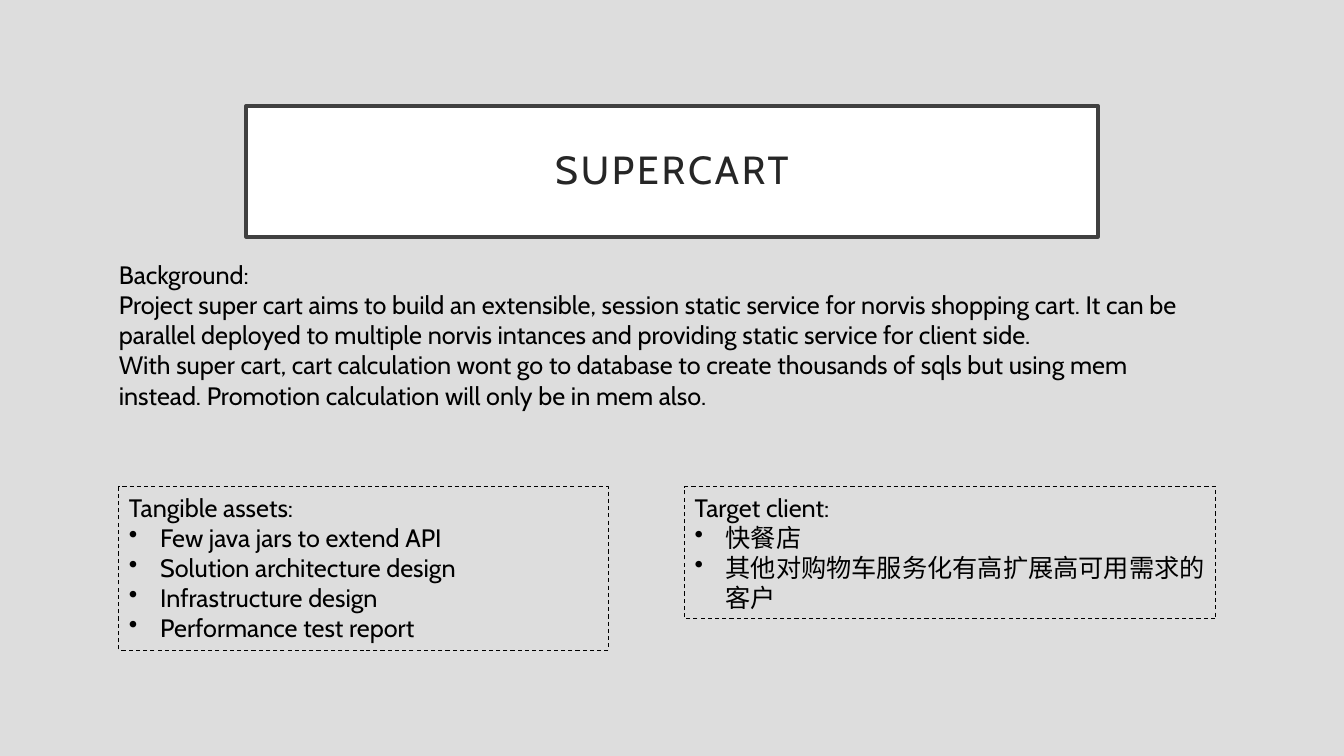
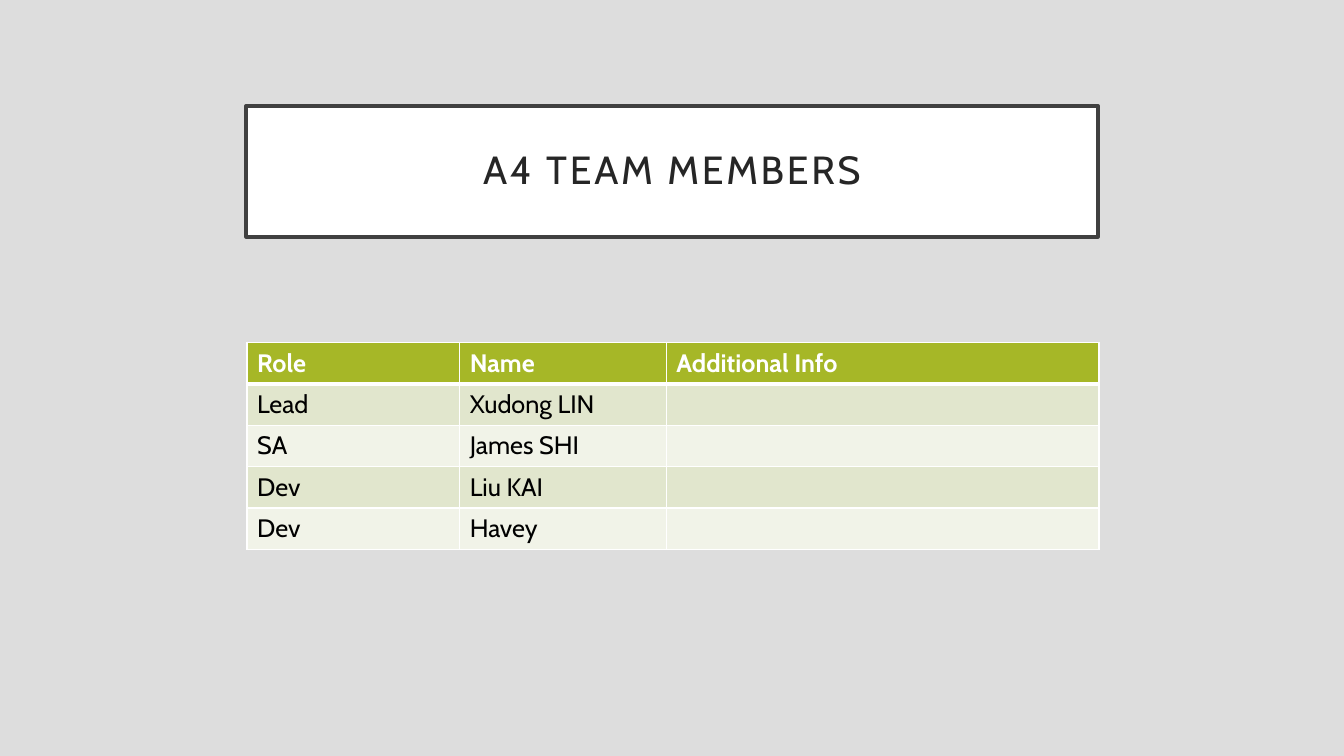
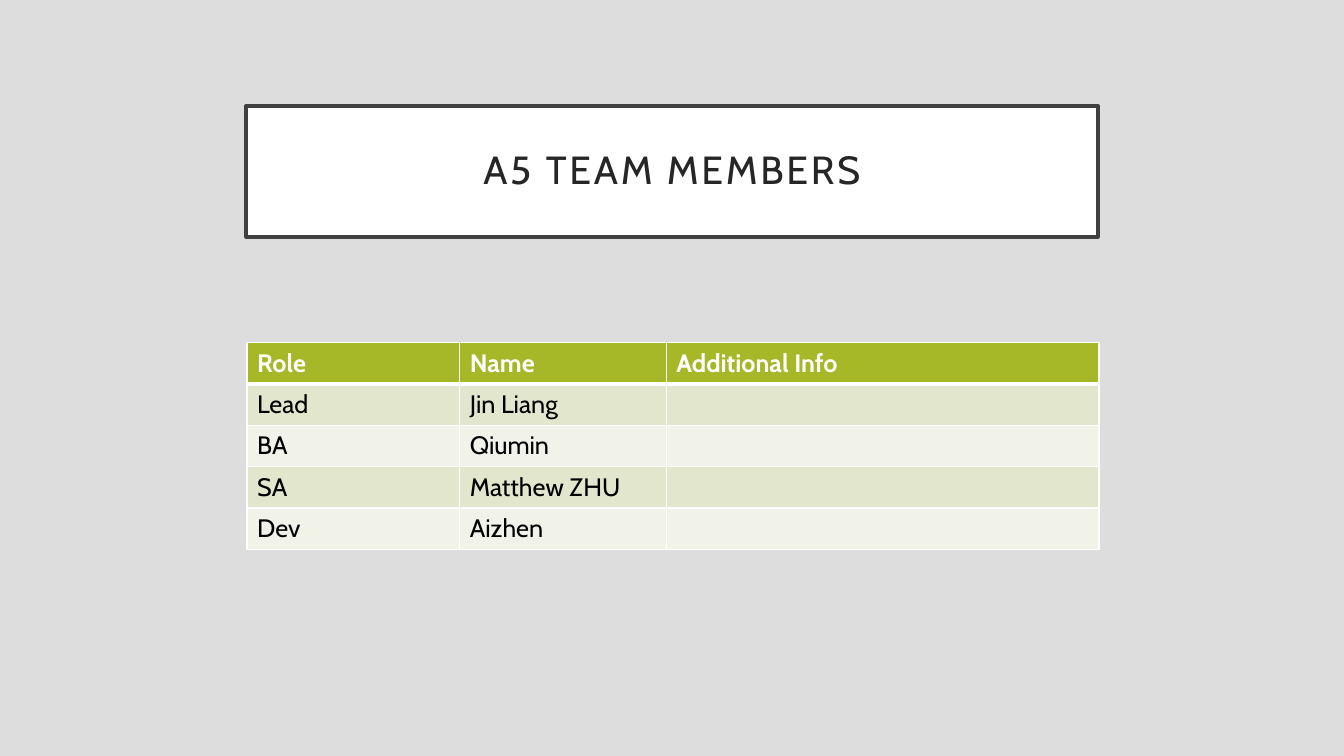
from dataclasses import dataclass

from lxml import etree
from pptx import Presentation
from pptx.dml.color import RGBColor
from pptx.enum.dml import MSO_LINE
from pptx.enum.shapes import MSO_SHAPE
from pptx.enum.text import MSO_ANCHOR, MSO_AUTO_SIZE, PP_ALIGN
from pptx.oxml.ns import qn
from pptx.util import Inches, Pt

RECT = MSO_SHAPE.RECTANGLE
DASH = MSO_LINE.DASH
TOP, MIDDLE = MSO_ANCHOR.TOP, MSO_ANCHOR.MIDDLE
LEFT, CENTER = PP_ALIGN.LEFT, PP_ALIGN.CENTER
FIT, FIXED = MSO_AUTO_SIZE.SHAPE_TO_FIT_TEXT, MSO_AUTO_SIZE.NONE
TITLE_ONLY = 5


@dataclass(frozen=True)
class Theme:
    font: str = "Cabin"
    back: str = "DDDDDD"
    white: str = "FFFFFF"
    black: str = "000000"
    frame: str = "404040"
    ink: str = "262626"
    head: str = "A6B727"
    bands: tuple = ("E1E6CD", "F1F3E8")
    title: int = 28
    body: int = 18


def rgb(code):
    return RGBColor.from_string(code)


def paint(fill, code):
    fill.solid()
    fill.fore_color.rgb = rgb(code)


class Deck:
    def __init__(self, theme):
        self.theme = theme
        self.prs = Presentation()
        self.prs.slide_width = Inches(13.33)
        self.prs.slide_height = Inches(7.5)
        paint(self.prs.slide_master.background.fill, theme.back)
        self.slide = None

    def style(self, para, size, color, bold=False, align=LEFT):
        para.alignment = align
        font = para.font
        font.name, font.size, font.bold = self.theme.font, Pt(size), bold
        font.color.rgb = rgb(color)

    def start(self, title):
        """Add a slide with its framed title."""
        look = self.theme
        self.slide = self.prs.slides.add_slide(self.prs.slide_layouts[TITLE_ONLY])
        box = self.slide.shapes.title
        box.left, box.top = Inches(2.44), Inches(1.05)
        box.width, box.height = Inches(8.45), Inches(1.3)
        paint(box.fill, look.white)
        box.line.color.rgb = rgb(look.frame)
        box.line.width = Pt(2.5)
        frame = box.text_frame
        frame.text = title
        frame.word_wrap, frame.auto_size = True, FIXED
        frame.vertical_anchor = MIDDLE
        frame.margin_left = frame.margin_right = Inches(0.2)
        frame.margin_top = frame.margin_bottom = Inches(0.2)
        para = frame.paragraphs[0]
        self.style(para, look.title, look.ink, align=CENTER)
        para.line_spacing = 0.9
        para.runs[0]._r.get_or_add_rPr().set("spc", "200")

    def fill_text(self, frame, lines):
        frame.word_wrap, frame.auto_size = True, FIT
        frame.vertical_anchor = TOP
        frame.text = "\n".join(lines)
        for para in frame.paragraphs:
            self.style(para, self.theme.body, self.theme.black)

    def text(self, left, top, width, height, lines):
        box = self.slide.shapes.add_textbox(
            Inches(left), Inches(top), Inches(width), Inches(height))
        self.fill_text(box.text_frame, lines)

    def panel(self, left, top, width, height, head, items):
        """Add a dashed box with a heading and bullets."""
        box = self.slide.shapes.add_shape(
            RECT, Inches(left), Inches(top), Inches(width), Inches(height))
        box.shadow.inherit = False
        box.fill.background()
        box.line.color.rgb = rgb(self.theme.black)
        box.line.width = Pt(0.75)
        box.line.dash_style = DASH
        self.fill_text(box.text_frame, [head, *items])
        for para in box.text_frame.paragraphs[1:]:
            self.bullet(para)

    def bullet(self, para):
        props = para._p.get_or_add_pPr()
        indent = Inches(0.31)
        props.set("marL", str(indent))
        props.set("indent", str(-indent))
        mark = etree.Element(qn("a:buChar"), char="•")
        props.insert_element_before(mark, "a:tabLst", "a:defRPr", "a:extLst")

    def edge(self, cell, sides):
        """Draw white cell borders; sides maps L, R, T, B to points."""
        props = cell._tc.get_or_add_tcPr()
        for spot, (side, width) in enumerate(sides.items()):
            line = etree.Element(qn("a:ln" + side), w=str(Pt(width)))
            fill = etree.SubElement(line, qn("a:solidFill"))
            etree.SubElement(fill, qn("a:srgbClr"), val=self.theme.white)
            props.insert(spot, line)

    def table(self, left, top, widths, tall, rows):
        look = self.theme
        grid = self.slide.shapes.add_table(
            len(rows), len(widths), Inches(left), Inches(top),
            Inches(sum(widths)), Inches(tall * len(rows))).table
        for col, width in zip(grid.columns, widths):
            col.width = Inches(width)
        for r, row in enumerate(rows):
            grid.rows[r].height = Inches(tall)
            head = r == 0
            back = look.head if head else look.bands[(r - 1) % 2]
            sides = {"L": 1, "R": 1, "T": 3 if r == 1 else 1, "B": 3 if head else 1}
            for c, word in enumerate(row):
                cell = grid.cell(r, c)
                cell.text = word
                paint(cell.fill, back)
                self.edge(cell, sides)
                self.style(cell.text_frame.paragraphs[0], look.body,
                           look.white if head else look.black, bold=head)

    def team(self, title, people):
        self.start(title)
        rows = [("Role", "Name", "Additional Info")]
        rows += [(role, name, "") for role, name in people]
        self.table(2.45, 3.4, (2.11, 2.05, 4.29), 0.41, rows)


def main():
    deck = Deck(Theme())

    deck.start("SUPERCART")
    deck.text(1.08, 2.52, 10.98, 1.62, [
        "Background:",
        "Project super cart aims to build an extensible, session static service "
        "for norvis shopping cart. It can be parallel deployed to multiple norvis "
        "intances and providing static service for client side.",
        "With super cart, cart calculation wont go to database to create thousands "
        "of sqls but using mem instead. Promotion calculation will only be in mem "
        "also.",
    ])
    deck.panel(1.18, 4.83, 4.86, 1.62, "Tangible assets:", [
        "Few java jars to extend API",
        "Solution architecture design",
        "Infrastructure design",
        "Performance test report",
    ])
    deck.panel(6.79, 4.83, 5.27, 1.31, "Target client:", [
        "快餐店",
        "其他对购物车服务化有高扩展高可用需求的客户",
    ])

    deck.team("A4 TEAM MEMBERS", [
        ("Lead", "Xudong LIN"), ("SA", "James SHI"),
        ("Dev", "Liu KAI"), ("Dev", "Havey")])
    deck.team("A5 TEAM MEMBERS", [
        ("Lead", "Jin Liang"), ("BA", "Qiumin"),
        ("SA", "Matthew ZHU"), ("Dev", "Aizhen")])

    deck.prs.save("out.pptx")


if __name__ == "__main__":
    main()
